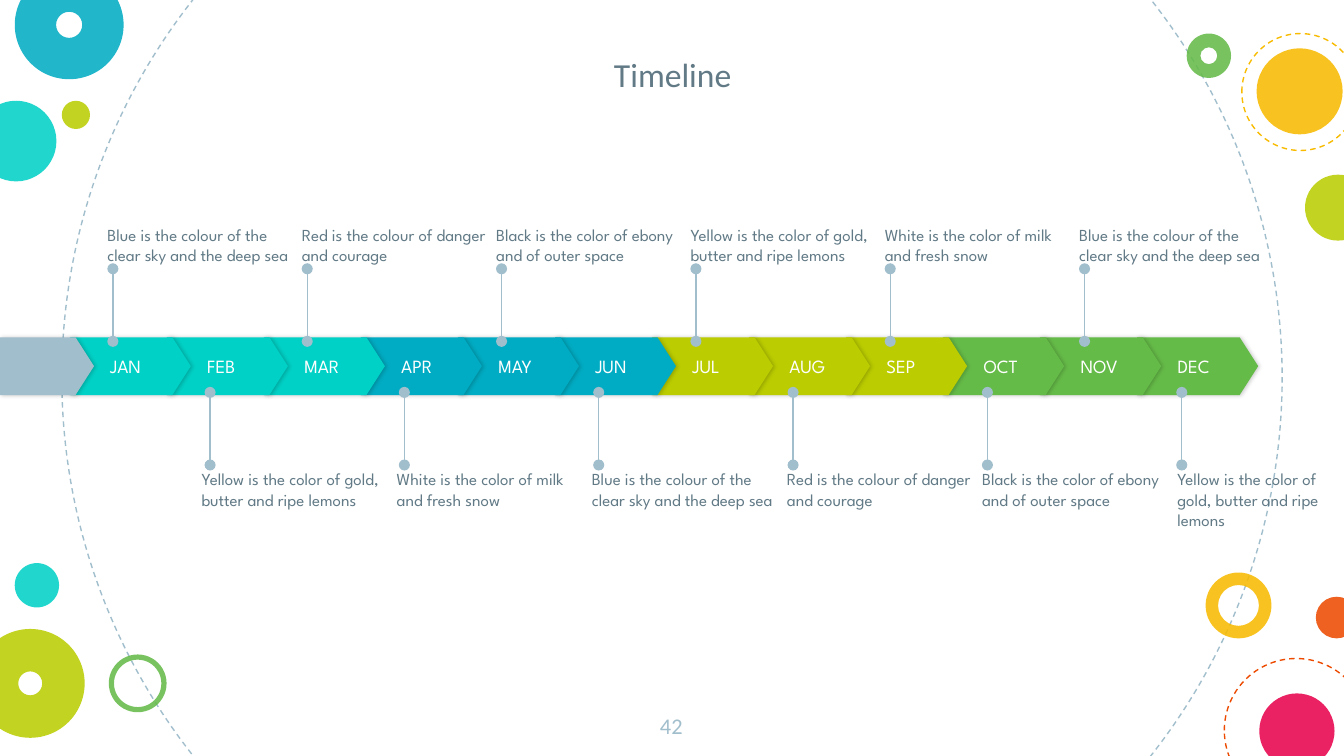
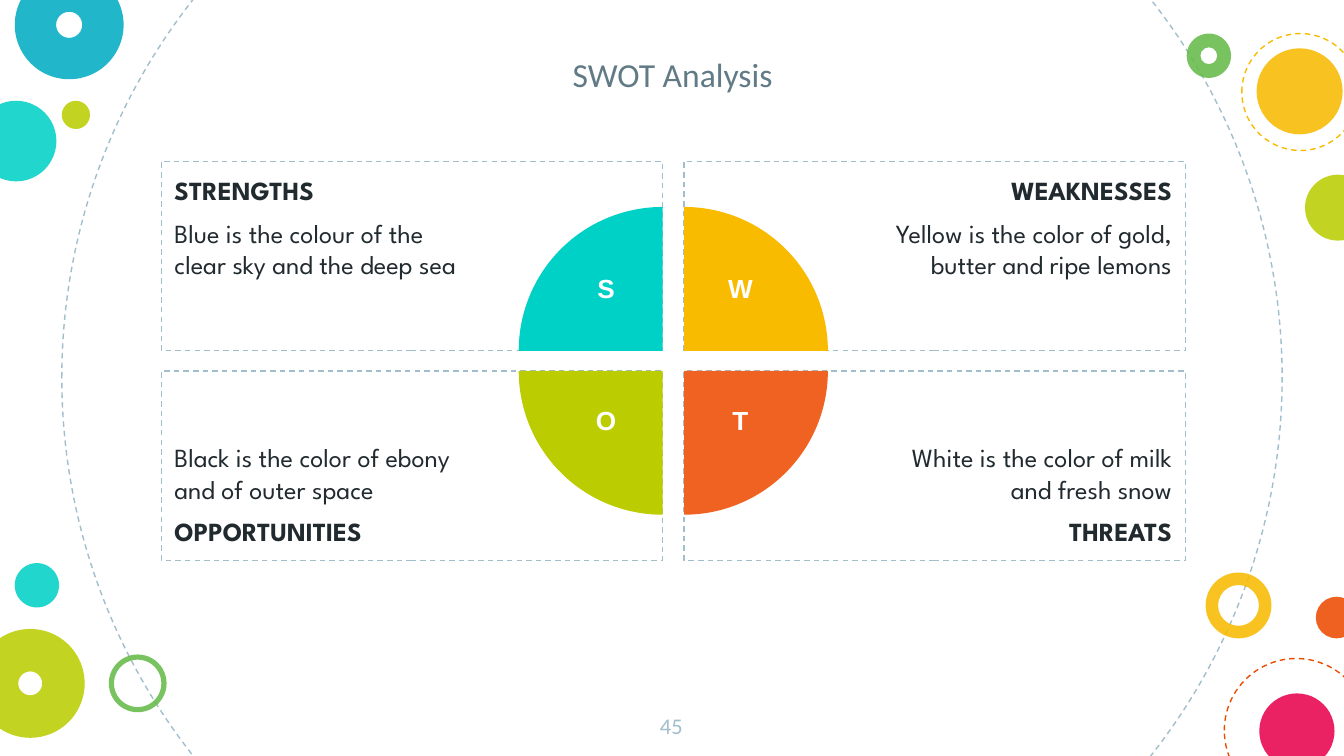
"""Build a yearly timeline slide and a SWOT slide in a shared circle-decorated style."""
from lxml import etree
from pptx import Presentation, util as u
from pptx.dml.color import RGBColor
from pptx.enum import dml, shapes, text
from pptx.oxml import ns

CELL = u.Inches(0.1)
COLUMNS, ROWS = 100, 56.25
COLORS = {
    "white": "FFFFFF", "ink": "212A2E", "slate": "617A86", "mist": "A1BECC",
    "teal": "00D1C6", "blue": "00ACC3", "lime": "BBCD00", "green": "65BB48",
    "yellow": "F8BB00", "orange": "ED4A00", "coral": "EF6222", "pink": "E8004C",
}
BODY_FONT, TITLE_FONT, LETTER_FONT = "League Spartan", "Calibri", "Arial"
KIND, ALIGN, ANCHOR = shapes.MSO_SHAPE, text.PP_ALIGN, text.MSO_ANCHOR

DISCS = [
    (-1.8, 7.5, 6, "teal"), (4.6, 7.5, 2.1, "lime"), (97.9, 44.4, 3.1, "orange"),
    (93.7, 51.6, 5.6, "pink"), (93.5, 3.6, 6.4, "yellow"),
    (97.1, 13, 4.9, "lime"), (1.1, 41.9, 3.3, "teal"),
]
DONUTS = [
    (89.7, 42.6, 4.9, "yellow", 0.19), (1.1, -2.2, 8.1, "blue", 0.38),
    (8.1, 48.7, 4.3, "green", 0.09), (-1.8, 46.8, 8.1, "lime", 0.39),
    (88.3, 2.5, 3.3, "green", 0.31),
]
RINGS = [(4.6, -17.3, 90.8, "mist"), (91.1, 49, 10.7, "orange"), (92.4, 2.5, 8.7, "yellow")]

NOTES = [
    "Blue is the colour of the clear sky and the deep sea",
    "Red is the colour of danger and courage",
    "Black is the color of ebony and of outer space",
    "Yellow is the color of gold, butter and ripe lemons",
    "White is the color of milk and fresh snow",
]
MONTHS = "JAN FEB MAR APR MAY JUN JUL AUG SEP OCT NOV DEC".split()
QUARTERS = ["teal", "blue", "lime", "green"]
QUADRANTS = [
    ("STRENGTHS", NOTES[0], "teal"), ("WEAKNESSES", NOTES[3], "yellow"),
    ("THREATS", NOTES[4], "coral"), ("OPPORTUNITIES", NOTES[2], "lime"),
]


def cells(*values):
    return [round(value * CELL) for value in values]


def rgb(color):
    return RGBColor.from_string(COLORS[color])


def add_xml(parent, tag, **attributes):
    return etree.SubElement(parent, ns.qn(tag), attributes)


def add_figure(slide, kind, box, fill=None, dash=None, adjust=()):
    shape = slide.shapes.add_shape(kind, *cells(*box))
    shape.shadow.inherit = False
    for index, value in enumerate(adjust):
        shape.adjustments[index] = value
    if fill:
        shape.fill.solid()
        shape.fill.fore_color.rgb = rgb(fill)
    else:
        shape.fill.background()
    if dash:
        shape.line.color.rgb = rgb(dash)
        shape.line.width = u.Pt(0.75)
        shape.line.dash_style = dml.MSO_LINE.DASH
    else:
        shape.line.fill.background()
    return shape


def write(shape, lines, size, color, font=BODY_FONT, inset=(0, 0, 0, 0),
          anchor=ANCHOR.TOP, align=ALIGN.LEFT, bold=()):
    frame = shape.text_frame
    frame.word_wrap = True
    frame.vertical_anchor = anchor
    (frame.margin_left, frame.margin_top,
     frame.margin_right, frame.margin_bottom) = cells(*inset)
    for index, line in enumerate(lines):
        paragraph = frame.add_paragraph() if index else frame.paragraphs[0]
        paragraph.text = line
        paragraph.alignment = align
        if index:
            paragraph.space_before = paragraph.space_after = u.Pt(6)
        paragraph.font.name = font
        paragraph.font.size = u.Pt(size)
        paragraph.font.bold = line in bold
        paragraph.font.color.rgb = rgb(color)


def add_text(slide, box, line, size, color, **style):
    write(slide.shapes.add_textbox(*cells(*box)), [line], size, color, **style)


def add_themed_slide(presentation, title, number):
    slide = presentation.slides.add_slide(presentation.slide_layouts[6])
    for left, top, size, color in RINGS:
        add_figure(slide, KIND.OVAL, (left, top, size, size), dash=color)
    circles = [(KIND.OVAL, *disc) for disc in DISCS] + [(KIND.DONUT, *donut) for donut in DONUTS]
    for kind, left, top, size, color, *adjust in circles:
        circle = add_figure(slide, kind, (left, top, size, size), color, adjust=adjust)
        for tint in circle._element.spPr.xpath("a:solidFill/a:srgbClr"):
            add_xml(tint, "a:alpha", val="87000")
    add_text(slide, (21.2, 1, 57.7, 7), title, 18, "slate", font=TITLE_FONT,
             inset=(1, 1, 1, 1), anchor=ANCHOR.BOTTOM, align=ALIGN.CENTER)
    add_text(slide, (47.4, 52, 5.1, 4.3), number, 12, "mist", font=TITLE_FONT,
             inset=(1, 1, 1, 1), align=ALIGN.CENTER)
    return slide


def add_arrow_band(slide, left, width, color):
    band = add_figure(slide, KIND.PENTAGON, (left, 25.1, width, 4.3), color, adjust=[0.32])
    effects = band._element.spPr.find(ns.qn("a:effectLst"))
    shadow = add_xml(effects, "a:outerShdw", blurRad=str(u.Pt(2.2)),
                     dist=str(u.Pt(0.8)), dir="0", rotWithShape="0")
    add_xml(add_xml(shadow, "a:srgbClr", val="000000"), "a:alpha", val="20000")
    return band


def add_marker(slide, column, start, end):
    marker = slide.shapes.add_connector(shapes.MSO_CONNECTOR.STRAIGHT,
                                        *cells(column, start, column, end))
    marker.line.color.rgb = rgb("mist")
    marker.line.width = u.Pt(0.75)
    outline = marker.line._get_or_add_ln()
    add_xml(outline, "a:headEnd", type="oval")
    add_xml(outline, "a:tailEnd", type="oval")
    add_xml(marker._element.spPr, "a:effectLst")


def add_timeline(slide):
    for index, month in reversed(list(enumerate(MONTHS))):
        band = add_arrow_band(slide, 5.2 + 7.22 * index, 9, QUARTERS[index // 3])
        write(band, [month], 10, "white", inset=(3, 0, 0, 0), anchor=ANCHOR.MIDDLE)
    add_arrow_band(slide, 0, 7, "mist")
    for index in range(len(MONTHS)):
        pair, below = divmod(index, 2)
        column = 8.4 + 7.23 * index
        if below:
            start, end, top, anchor = 34.6, 29.2, 34.9, ANCHOR.TOP
            left = 15 + 14.52 * pair
        else:
            start, end, top, anchor = 25.4, 20, 13.9, ANCHOR.BOTTOM
            left = 8 + 14.46 * pair
        add_marker(slide, column, start, end)
        width = min(13.7, 98.9 - left)
        note = NOTES[(pair + 3 * below) % len(NOTES)]
        add_text(slide, (left, top, width, 5.8), note, 9, "slate", anchor=anchor)


def add_swot(slide):
    width, height, radius = 37.3, 14.1, 10.7
    places = [(0, 0), (1, 0), (1, 1), (0, 1)]
    for (right, low), (heading, note, _) in zip(places, QUADRANTS):
        panel = add_figure(slide, KIND.RECTANGLE,
                           (12 + 38.9 * right, 12 + 15.6 * low, width, height), dash="mist")
        write(panel, [note, heading] if low else [heading, note], 14, "ink",
              inset=(15, 1, 1, 1) if right else (1, 1, 15, 1),
              anchor=ANCHOR.BOTTOM if low else ANCHOR.TOP,
              align=ALIGN.RIGHT if right else ALIGN.LEFT, bold=[heading])
    for turn, ((right, low), (_, _, color)) in enumerate(zip(places, QUADRANTS)):
        center_x = 50.9 if right else 12 + width
        center_y = 27.6 if low else 12 + height
        box = (center_x - radius, center_y - radius, 2 * radius, 2 * radius)
        slice_shape = add_figure(slide, KIND.PIE, box, color, adjust=[108, 162])
        slice_shape.rotation = 90 * turn
    for (right, low), (heading, _, _) in zip(places, QUADRANTS):
        add_text(slide, (42.6 + 10 * right, 19.8 + 9.8 * low, 5, 4), heading[0], 14, "white",
                 font=LETTER_FONT, inset=(0, 0.5, 0, 0.5), align=ALIGN.CENTER, bold=[heading[0]])


def main():
    presentation = Presentation()
    presentation.slide_width, presentation.slide_height = cells(COLUMNS, ROWS)
    add_timeline(add_themed_slide(presentation, "Timeline", "42"))
    add_swot(add_themed_slide(presentation, "SWOT Analysis", "45"))
    presentation.save("out.pptx")


if __name__ == "__main__":
    main()
